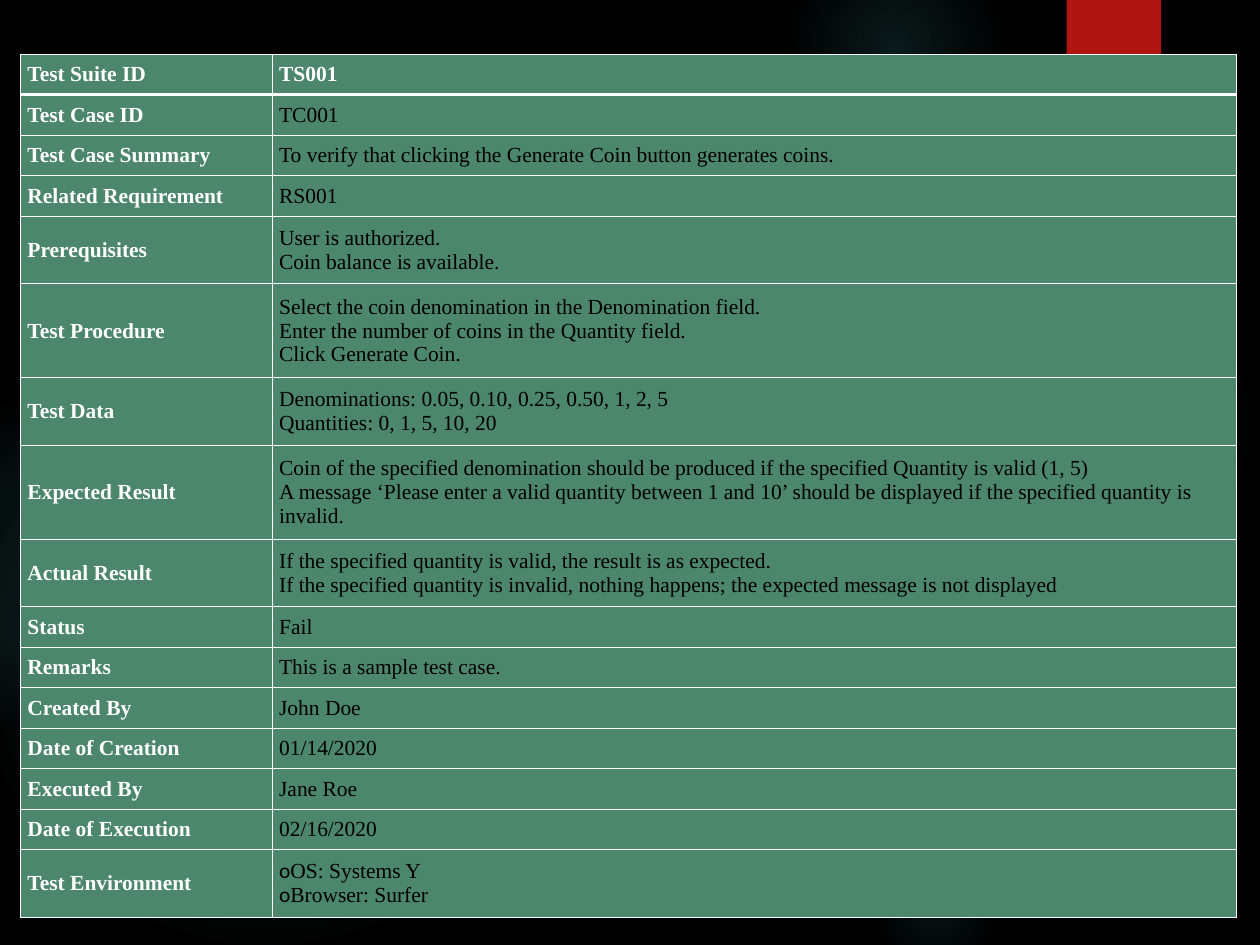
import dataclasses

import lxml.etree
import pptx
import pptx.dml.color
import pptx.enum.shapes
import pptx.enum.text
import pptx.oxml
import pptx.oxml.ns
import pptx.util

Inches = pptx.util.Inches
qn = pptx.oxml.ns.qn


@dataclasses.dataclass(frozen=True)
class Theme:
    background: str = "000000"
    glow: str = "50B9C1"
    accent: str = "B01513"
    cell: str = "4B866D"
    border: str = "FFFFFF"
    label: str = "FFFFFF"
    value: str = "000000"
    font: str = "Times New Roman"
    size: int = 18


GLOWS = [
    (10.1, 2.69, 4.52, [(0, 7), (36, 6), (69, 0)]),
    (9.13, -0.73, 2.57, [(0, 14), (36, 7), (73, 0)]),
    (10.1, 9.78, 1.59, [(0, 9), (36, 5), (66, 0)]),
    (-0.25, 4.28, 6.72, [(0, 11), (36, 10), (75, 0)]),
    (-1.35, 4.64, 3.79, [(0, 8), (36, 8), (72, 0)]),
]

TEST_CASE = [
    ("Test Suite ID", ["TS001"]),
    ("Test Case ID", ["TC001"]),
    ("Test Case Summary", ["To verify that clicking the Generate Coin button generates coins."]),
    ("Related Requirement", ["RS001"]),
    ("Prerequisites", ["User is authorized.", "Coin balance is available."]),
    ("Test Procedure", [
        "Select the coin denomination in the Denomination field.",
        "Enter the number of coins in the Quantity field.",
        "Click Generate Coin.",
    ]),
    ("Test Data", ["Denominations: 0.05, 0.10, 0.25, 0.50, 1, 2, 5", "Quantities: 0, 1, 5, 10, 20"]),
    ("Expected Result", [
        "Coin of the specified denomination should be produced if the specified Quantity is valid (1, 5)",
        "A message ‘Please enter a valid quantity between 1 and 10’ should be displayed "
        "if the specified quantity is invalid.",
    ]),
    ("Actual Result", [
        "If the specified quantity is valid, the result is as expected.",
        "If the specified quantity is invalid, nothing happens; the expected message is not displayed",
    ]),
    ("Status", ["Fail"]),
    ("Remarks", ["This is a sample test case."]),
    ("Created By", ["John Doe"]),
    ("Date of Creation", ["01/14/2020"]),
    ("Executed By", ["Jane Roe"]),
    ("Date of Execution", ["02/16/2020"]),
    ("Test Environment", ["OS: Systems Y", "Browser: Surfer"]),
]
BULLETED = "Test Environment"
CHARACTERS_PER_LINE = 105


def rgb(color):
    return pptx.dml.color.RGBColor.from_string(color)


def add_element(parent, tag, **attributes):
    return lxml.etree.SubElement(parent, qn(tag), attributes)


class SlideBuilder:
    def __init__(self, presentation, theme):
        self.theme = theme
        self.slide = presentation.slides.add_slide(presentation.slide_layouts[6])
        background = self.slide.background.fill
        background.solid()
        background.fore_color.rgb = rgb(theme.background)

    def shape(self, kind, left, top, width, height):
        shape = self.slide.shapes.add_shape(
            kind, Inches(left), Inches(top), Inches(width), Inches(height))
        shape.shadow.inherit = False
        shape.line.fill.background()
        return shape

    def glow(self, left, top, size, stops):
        shape = self.shape(pptx.enum.shapes.MSO_SHAPE.OVAL, left, top, size, size)
        shape.fill.gradient()
        gradient = shape.element.spPr.find(qn("a:gradFill"))
        for child in list(gradient):
            gradient.remove(child)
        stop_list = add_element(gradient, "a:gsLst")
        for position, opacity in stops:
            stop = add_element(stop_list, "a:gs", pos=str(position * 1000))
            color = add_element(stop, "a:srgbClr", val=self.theme.glow)
            add_element(color, "a:alpha", val=str(opacity * 1000))
        circle = add_element(gradient, "a:path", path="circle")
        add_element(circle, "a:fillToRect", l="50000", t="50000", r="50000", b="50000")

    def ribbon(self, left, top, width, height):
        shape = self.shape(pptx.enum.shapes.MSO_SHAPE.RECTANGLE, left, top, width, height)
        shape.fill.solid()
        shape.fill.fore_color.rgb = rgb(self.theme.accent)
        effects = shape.element.spPr.find(qn("a:effectLst"))
        shadow = add_element(effects, "a:outerShdw", blurRad=str(pptx.util.Pt(3)),
                             dist=str(pptx.util.Pt(2)), dir="5400000", rotWithShape="0")
        color = add_element(shadow, "a:srgbClr", val="000000")
        add_element(color, "a:alpha", val="45000")

    def borders(self, cell, top, bottom):
        properties = cell._tc.get_or_add_tcPr()
        widths = {"a:lnL": 1, "a:lnR": 1, "a:lnT": top, "a:lnB": bottom}
        for index, (tag, width) in enumerate(widths.items()):
            line = add_element(properties, tag, w=str(pptx.util.Pt(width)))
            fill = add_element(line, "a:solidFill")
            add_element(fill, "a:srgbClr", val=self.theme.border)
            properties.insert(index, line)

    def bullet(self, paragraph):
        properties = paragraph._p.get_or_add_pPr()
        properties.set("marL", "0")
        properties.set("indent", str(-Inches(0.38)))
        add_element(properties, "a:buFont", typeface="+mj-lt")
        add_element(properties, "a:buChar", char="o")

    def cell(self, cell, lines, color, bold, bulleted=False):
        cell.fill.solid()
        cell.fill.fore_color.rgb = rgb(self.theme.cell)
        cell.vertical_anchor = pptx.enum.text.MSO_ANCHOR.MIDDLE
        cell.margin_left = cell.margin_right = Inches(0.08)
        cell.margin_top = cell.margin_bottom = Inches(0.08)
        cell.text = "\n".join(lines)
        for paragraph in cell.text_frame.paragraphs:
            if bulleted:
                self.bullet(paragraph)
            font = paragraph.font
            font.name = self.theme.font
            font.size = pptx.util.Pt(self.theme.size)
            font.bold = bold
            font.color.rgb = rgb(color)

    def table(self, rows, left, top, widths, height):
        table = self.slide.shapes.add_table(
            len(rows), len(widths), Inches(left), Inches(top),
            Inches(sum(widths)), Inches(height)).table
        table.horz_banding = False
        for column, width in zip(table.columns, widths):
            column.width = Inches(width)
        line_counts = [sum(1 + len(line) // CHARACTERS_PER_LINE for line in lines) for _, lines in rows]
        weights = [0.16 + 0.31 * count for count in line_counts]
        for index, (label, lines) in enumerate(rows):
            header = index == 0
            table.rows[index].height = Inches(height * weights[index] / sum(weights))
            label_cell, value_cell = table.rows[index].cells
            self.cell(label_cell, [label], self.theme.label, True)
            self.cell(value_cell, lines, self.theme.label if header else self.theme.value,
                      header, label == BULLETED)
            for cell in (label_cell, value_cell):
                self.borders(cell, 3 if index == 1 else 1, 3 if header else 1)


def main():
    presentation = pptx.Presentation()
    presentation.slide_width = Inches(14.67)
    presentation.slide_height = Inches(11)
    builder = SlideBuilder(presentation, Theme())
    for glow in GLOWS:
        builder.glow(*glow)
    builder.ribbon(12.42, 0, 1.1, 1.76)
    builder.table(TEST_CASE, 0.24, 0.63, (2.93, 11.23), 10.05)
    presentation.save("out.pptx")


if __name__ == "__main__":
    main()
